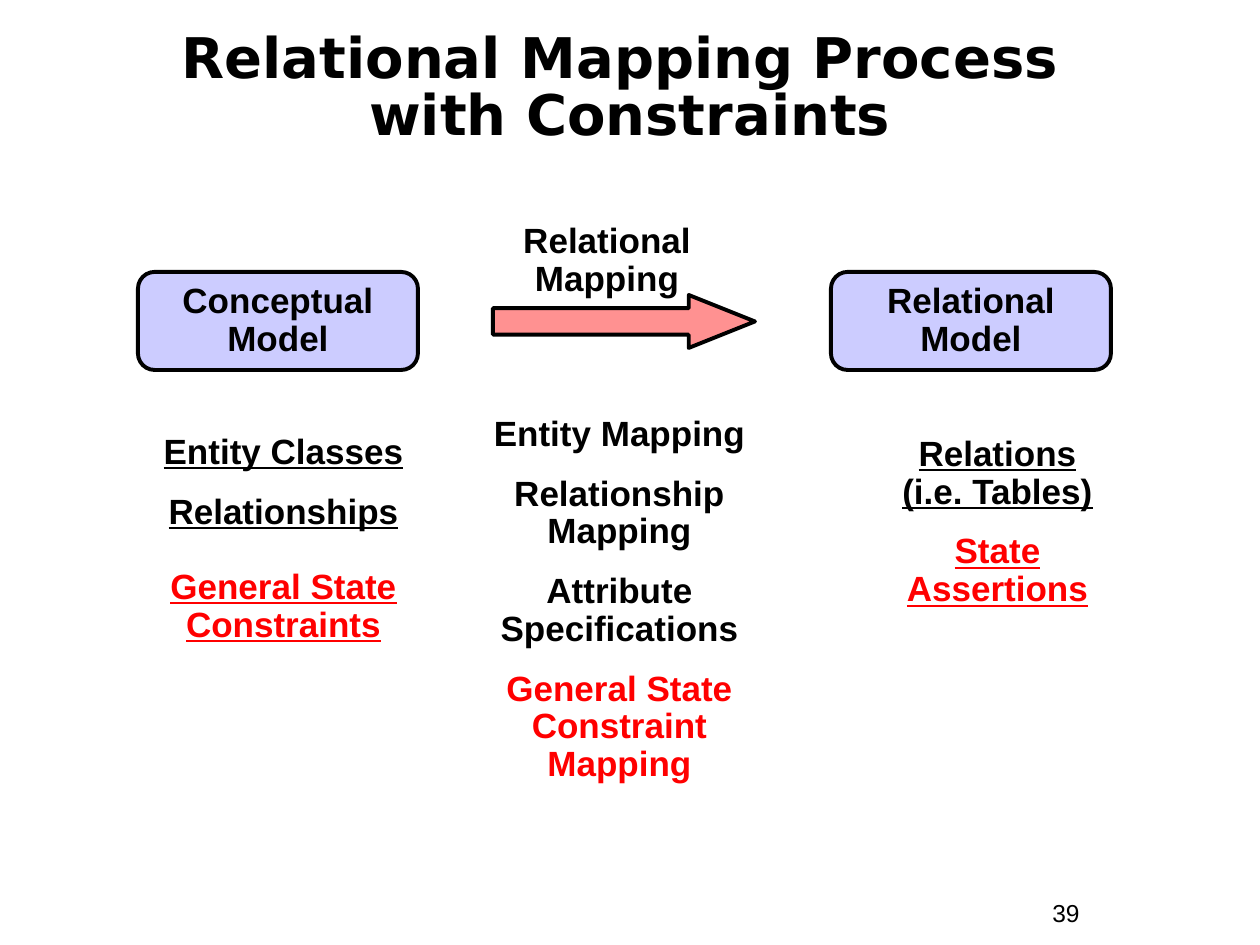
from pptx import Presentation
from pptx import util as u
from pptx.dml.color import RGBColor
from pptx.enum import shapes, text

PX = 914400 / 126
INK = {"black": "000000", "red": "FF0000", "box": "CCCCFF", "arrow": "FF9191"}
BOLD = {"name": "Arial", "size": u.Pt(20), "bold": True}
LINED = {**BOLD, "underline": True}
HEAD = {**BOLD, "name": "DejaVu Sans", "size": u.Pt(32)}
PLAIN = {"name": "Arial", "size": u.Pt(14), "bold": False}
MID = text.MSO_ANCHOR.MIDDLE
TOP = text.MSO_ANCHOR.TOP


def emu(*sizes):
    return [round(s * PX) for s in sizes]


def tint(name):
    return RGBColor.from_string(INK[name])


def write(frame, items, style=BOLD, anchor=TOP, pitch=0.9,
          align=text.PP_ALIGN.CENTER):
    """Each item is (words, ink, points of space before)."""
    frame.word_wrap = True
    frame.auto_size = text.MSO_AUTO_SIZE.NONE
    frame.vertical_anchor = anchor
    for i, (words, ink, gap) in enumerate(items):
        para = frame.paragraphs[0] if i == 0 else frame.add_paragraph()
        para.text = words
        form = {"alignment": align, "line_spacing": pitch,
                "space_before": u.Pt(gap)}
        for key, val in form.items():
            setattr(para, key, val)
        for run in para.runs:
            for key, val in style.items():
                setattr(run.font, key, val)
            run.font.color.rgb = tint(ink)


def label(slide, box, items, **form):
    write(slide.shapes.add_textbox(*emu(*box)).text_frame, items, **form)


def block(slide, kind, box, fill, bends):
    shape = slide.shapes.add_shape(kind, *emu(*box))
    shape.shadow.inherit = False
    shape.fill.solid()
    shape.fill.fore_color.rgb = tint(fill)
    shape.line.color.rgb = tint("black")
    shape.line.width = u.Pt(2.25)
    for i, bend in enumerate(bends):
        shape.adjustments[i] = bend
    return shape


def title(slide, box):
    head = slide.shapes.title
    head.left, head.top, head.width, head.height = emu(*box)
    # The space before the break shifts the first line as wanted
    write(head.text_frame,
          [("Relational Mapping Process \vwith Constraints", "black", 0)],
          style=HEAD, anchor=MID, pitch=0.85)


def flow(slide, box):
    """Two models with an arrow between them."""
    x, y, w, h = box
    wide = 280
    for left, name in ((x, "Conceptual"), (x + w - wide, "Relational")):
        model = block(slide, shapes.MSO_SHAPE.ROUNDED_RECTANGLE,
                      (left, y, wide, h), "box", [0.17])
        write(model.text_frame, [(name + "\vModel", "black", 0)], anchor=MID)
    block(slide, shapes.MSO_SHAPE.RIGHT_ARROW,
          (x + 355, y + 23, 262, 53), "arrow", [0.5, 1.25])
    label(slide, (x + 359, y - 55, 220, 88),
          [("Relational\vMapping", "black", 0)])


def lists(slide, box):
    """Parts of each model and the mappings between them."""
    x, y, w, h = box
    wide = 315
    label(slide, (x, y + 18, wide, 224),
          [("Entity Classes", "black", 0), ("Relationships", "black", 12.5),
           ("General State Constraints", "red", 21.5)], style=LINED)
    label(slide, (x + 336, y, wide, h),
          [("Entity Mapping", "black", 0),
           ("Relationship\vMapping", "black", 12.5),
           ("Attribute Specifications", "black", 12.5),
           ("General State Constraint Mapping", "red", 12.5)])
    label(slide, (x + w - wide, y + 20, wide, 186),
          [("Relations\v(i.e. Tables)", "black", 0),
           ("State\vAssertions", "red", 12.5)], style=LINED)


def number(slide, box):
    label(slide, box, [("39", "black", 0)], style=PLAIN, pitch=1.0,
          align=text.PP_ALIGN.LEFT)


def main():
    deck = Presentation()
    deck.slide_width, deck.slide_height = emu(1260, 945)
    slide = deck.slides.add_slide(deck.slide_layouts[5])
    title(slide, (42, 32, 1176, 116))
    flow(slide, (138, 272, 973, 98))
    lists(slide, (126, 410, 1029, 380))
    number(slide, (1040, 892, 116, 43))
    deck.save("out.pptx")


if __name__ == "__main__":
    main()
